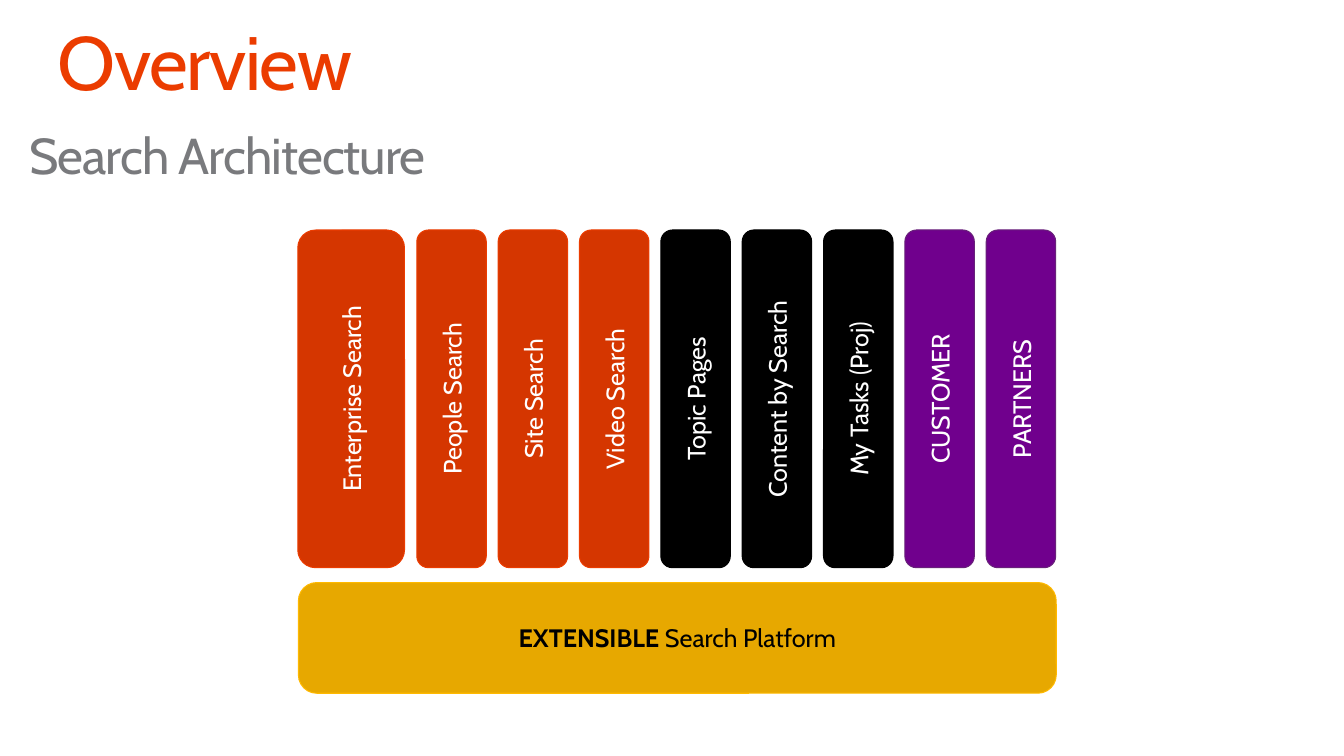
from dataclasses import dataclass

from pptx import Presentation
from pptx import util as u
from pptx.dml.color import RGBColor
from pptx.enum import shapes, text
from pptx.oxml.xmlchemy import OxmlElement
from pptx.util import Cm

FONT = "Cabin"
WHITE = RGBColor(0xFF, 0xFF, 0xFF)
BLACK = RGBColor(0x00, 0x00, 0x00)
GRAY = RGBColor(0x79, 0x7A, 0x7D)
ORANGE = RGBColor(0xEB, 0x3C, 0x00)
DARK_ORANGE = RGBColor(0xD5, 0x36, 0x00)
PURPLE = RGBColor(0x70, 0x00, 0x8D)
DARK_PURPLE = RGBColor(0x68, 0x21, 0x7A)
GOLD = RGBColor(0xE7, 0xA8, 0x00)
LIGHT_GOLD = RGBColor(0xFF, 0xB9, 0x00)

# Lengths in centimetres
PILLAR_HEIGHT = 8.51
PILLAR_MIDDLE = 10.05
PILLAR_WIDTH = 1.75
PILLAR_STEP = 2.05
FIRST_CENTER = 11.38


@dataclass(frozen=True)
class Style:
    fill: RGBColor
    line: RGBColor


@dataclass(frozen=True)
class Pillar:
    label: str
    style: Style
    center: float
    width: float = PILLAR_WIDTH


SEARCH = Style(DARK_ORANGE, ORANGE)
CONTENT = Style(BLACK, BLACK)
EXTERNAL = Style(PURPLE, DARK_PURPLE)
PLATFORM = Style(GOLD, LIGHT_GOLD)

NARROW_PILLARS = [
    ("People Search", SEARCH),
    ("Site Search", SEARCH),
    ("Video Search", SEARCH),
    ("Topic Pages", CONTENT),
    ("Content by Search", CONTENT),
    ("My Tasks (Proj)", CONTENT),
    ("CUSTOMER", EXTERNAL),
    ("PARTNERS", EXTERNAL),
]
PILLARS = [Pillar("Enterprise Search", SEARCH, 8.85, 2.69)] + [
    Pillar(label, style, FIRST_CENTER + index * PILLAR_STEP)
    for index, (label, style) in enumerate(NARROW_PILLARS)
]


def add_run(paragraph, content: str, size: float, color: RGBColor,
            bold: bool = False, spacing: int = 0) -> None:
    """Append a run; spacing is in hundredths of a point."""
    run = paragraph.add_run()
    run.text = content
    run.font.name = FONT
    run.font.size = u.Pt(size)
    run.font.bold = bold
    run.font.color.rgb = color
    if spacing:
        run.font._element.set("spc", str(spacing))


def fill_placeholder(shape, box: tuple[float, float, float, float], content: str,
                     size: float, color: RGBColor, spacing: int):
    shape.left, shape.top, shape.width, shape.height = map(Cm, box)
    frame = shape.text_frame
    frame.margin_left = frame.margin_right = frame.margin_top = frame.margin_bottom = 0
    frame.vertical_anchor = text.MSO_ANCHOR.TOP
    frame.auto_size = text.MSO_AUTO_SIZE.NONE
    frame.word_wrap = True
    paragraph = frame.paragraphs[0]
    paragraph.alignment = text.PP_ALIGN.LEFT
    paragraph.line_spacing = 0.9
    add_run(paragraph, content, size, color, spacing=spacing)
    return paragraph


def remove_bullet(paragraph) -> None:
    properties = paragraph._p.get_or_add_pPr()
    properties.set("marL", "0")
    properties.set("indent", "0")
    properties.append(OxmlElement("a:buNone"))


def add_block(slide, left: float, top: float, width: float, height: float, style: Style):
    """Add a rounded block with a centred, empty paragraph."""
    shape = slide.shapes.add_shape(shapes.MSO_SHAPE.ROUNDED_RECTANGLE,
                                   Cm(left), Cm(top), Cm(width), Cm(height))
    shape.shadow.inherit = False
    shape.fill.solid()
    shape.fill.fore_color.rgb = style.fill
    shape.line.color.rgb = style.line
    shape.line.width = u.Pt(0.75)
    frame = shape.text_frame
    frame.word_wrap = True
    frame.vertical_anchor = text.MSO_ANCHOR.MIDDLE
    frame.paragraphs[0].alignment = text.PP_ALIGN.CENTER
    return shape


def add_pillar(slide, pillar: Pillar) -> None:
    """Draw the block lying flat, then turn it upright so its label reads upwards."""
    shape = add_block(slide, pillar.center - PILLAR_HEIGHT / 2,
                      PILLAR_MIDDLE - pillar.width / 2,
                      PILLAR_HEIGHT, pillar.width, pillar.style)
    shape.rotation = 270
    add_run(shape.text_frame.paragraphs[0], pillar.label, 18, WHITE)


def add_platform(slide) -> None:
    shape = add_block(slide, 7.52, 14.68, 19.1, 2.79, PLATFORM)
    paragraph = shape.text_frame.paragraphs[0]
    add_run(paragraph, "EXTENSIBLE", 18, BLACK, bold=True)
    add_run(paragraph, " Search Platform", 18, BLACK)


def main() -> None:
    presentation = Presentation()
    presentation.slide_width = Cm(33.87)
    presentation.slide_height = Cm(19.05)
    slide = presentation.slides.add_slide(presentation.slide_layouts[1])

    fill_placeholder(slide.shapes.title, (1.45, 0.64, 30.96, 2.08),
                     "Overview", 54, ORANGE, -100)
    subtitle = fill_placeholder(slide.placeholders[1], (0.74, 3.3, 32.36, 1.4),
                                "Search Architecture", 36, GRAY, -70)
    remove_bullet(subtitle)

    for pillar in PILLARS:
        add_pillar(slide, pillar)
    add_platform(slide)
    presentation.save("out.pptx")


if __name__ == "__main__":
    main()
